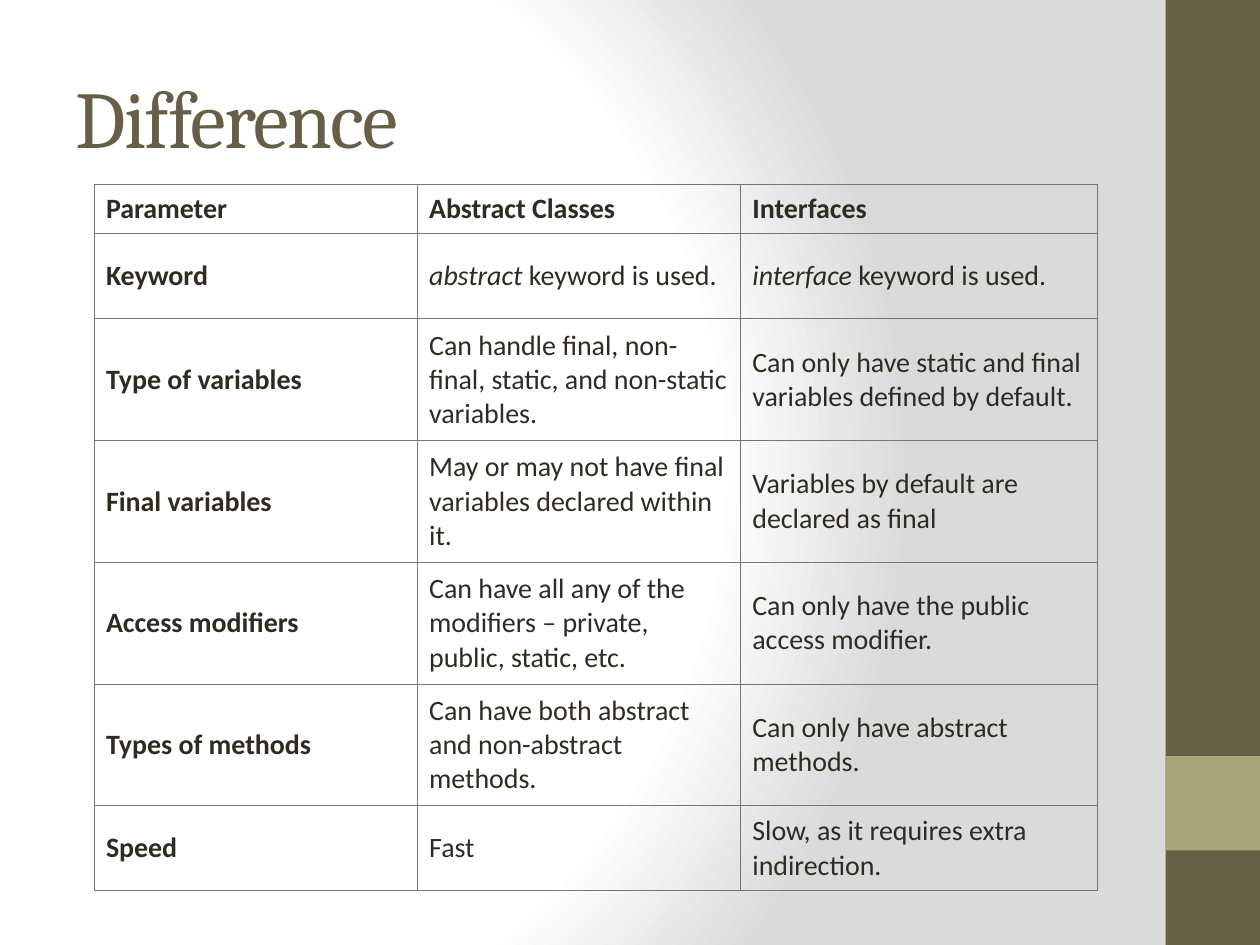
from pptx import Presentation
from pptx.dml.color import RGBColor
from pptx.enum.shapes import MSO_SHAPE as Shape
from pptx.enum.text import MSO_ANCHOR as Anchor, PP_ALIGN as Align
from pptx.oxml import parse_xml
from pptx.oxml.ns import nsdecls
from pptx.util import Pt


def color(value):
    return RGBColor.from_string(value)


class Page:
    heading_font, body_font = "Cambria", "Calibri"
    olive, sage, ink, rule = "675E47", "A9A57C", "2F2B20", "767676"

    def __init__(self, slide):
        self.slide = slide

    def style(self, run, font, size, hue, bold=False, italic=False):
        run.font.name = font
        run.font.size = Pt(size)
        run.font.color.rgb = color(hue)
        run.font.bold = bold
        run.font.italic = italic

    def background(self, stops):
        self.slide.background.fill.solid()
        properties = self.slide.element.xpath(".//p:bgPr")[0]
        marks = "".join(
            f'<a:gs pos="{position * 1000}"><a:srgbClr val="{hue}"/></a:gs>'
            for position, hue in stops
        )
        gradient = parse_xml(
            f'<a:gradFill {nsdecls("a")} rotWithShape="1"><a:gsLst>{marks}</a:gsLst>'
            '<a:path path="circle"><a:fillToRect l="20000" t="50000" r="100000" b="50000"/>'
            "</a:path></a:gradFill>"
        )
        properties.replace(properties[0], gradient)

    def block(self, left, top, width, height, hue):
        band = self.slide.shapes.add_shape(
            Shape.RECTANGLE, Pt(left), Pt(top), Pt(width), Pt(height)
        )
        band.shadow.inherit = False
        band.fill.solid()
        band.fill.fore_color.rgb = color(hue)
        band.line.fill.background()

    def title(self, text, left, top, width, height):
        heading = self.slide.shapes.title
        heading.left, heading.top = Pt(left), Pt(top)
        heading.width, heading.height = Pt(width), Pt(height)
        frame = heading.text_frame
        frame.text = text
        frame.vertical_anchor = Anchor.MIDDLE
        paragraph = frame.paragraphs[0]
        paragraph.alignment = Align.LEFT
        self.style(paragraph.runs[0], self.heading_font, 46, self.olive)
        paragraph.runs[0].font._element.set("spc", "-100")

    def borders(self, cell):
        properties = cell._tc.get_or_add_tcPr()
        for index, side in enumerate("LRTB"):
            properties.insert(index, parse_xml(
                f'<a:ln{side} {nsdecls("a")} w="{Pt(0.6)}"><a:solidFill>'
                f'<a:srgbClr val="{self.rule}"/></a:solidFill></a:ln{side}>'
            ))

    def cell(self, cell, content, bold):
        cell.fill.background()
        self.borders(cell)
        cell.vertical_anchor = Anchor.MIDDLE
        cell.margin_left = cell.margin_right = Pt(6.6)
        cell.margin_top = cell.margin_bottom = Pt(3.6)
        keyword, rest = content if isinstance(content, tuple) else ("", content)
        paragraph = cell.text_frame.paragraphs[0]
        for text, italic in ((keyword, True), (rest, False)):
            if text:
                run = paragraph.add_run()
                run.text = text
                self.style(run, self.body_font, 16, self.ink, bold, italic)

    def table(self, left, top, widths, heights, rows):
        grid = self.slide.shapes.add_table(
            len(rows), len(widths), Pt(left), Pt(top), Pt(sum(widths)), Pt(sum(heights))
        ).table
        grid.first_row = grid.horz_banding = False
        for column, width in zip(grid.columns, widths):
            column.width = Pt(width)
        for r, (row, height) in enumerate(zip(rows, heights)):
            grid.rows[r].height = Pt(height)
            for c, content in enumerate(row):
                self.cell(grid.cell(r, c), content, bold=r == 0 or c == 0)


differences = [
    ("Parameter", "Abstract Classes", "Interfaces"),
    ("Keyword", ("abstract\u00a0", "keyword is used."), ("interface\u00a0", "keyword is used.")),
    ("Type of variables",
     "Can handle final, non-final, static, and non-static variables.",
     "Can only have static and final variables defined by default."),
    ("Final variables",
     "May or may not have final variables declared within it.",
     "Variables by default are declared as final"),
    ("Access modifiers",
     "Can have all any of the modifiers – private, public, static, etc.",
     "Can only have the public access modifier."),
    ("Types of methods",
     "Can have both abstract and non-abstract methods.",
     "Can only have abstract methods."),
    ("Speed", "Fast", "Slow, as it requires extra indirection."),
]

deck = Presentation()
deck.slide_width, deck.slide_height = Pt(720), Pt(540)
page = Page(deck.slides.add_slide(deck.slide_layouts[5]))
page.background([(0, "FFFFFF"), (75, "FFFFFF"), (100, "DADADA")])
page.block(666, 0, 54, 540, page.olive)
page.block(666, 432, 54, 54, page.sage)
page.title("Difference", 36, 21.6, 600, 90)
page.table(54, 105.6, [184.7, 184.7, 203.8], [28, 48.6] + [69.6] * 4 + [48.6], differences)
deck.save("out.pptx")
